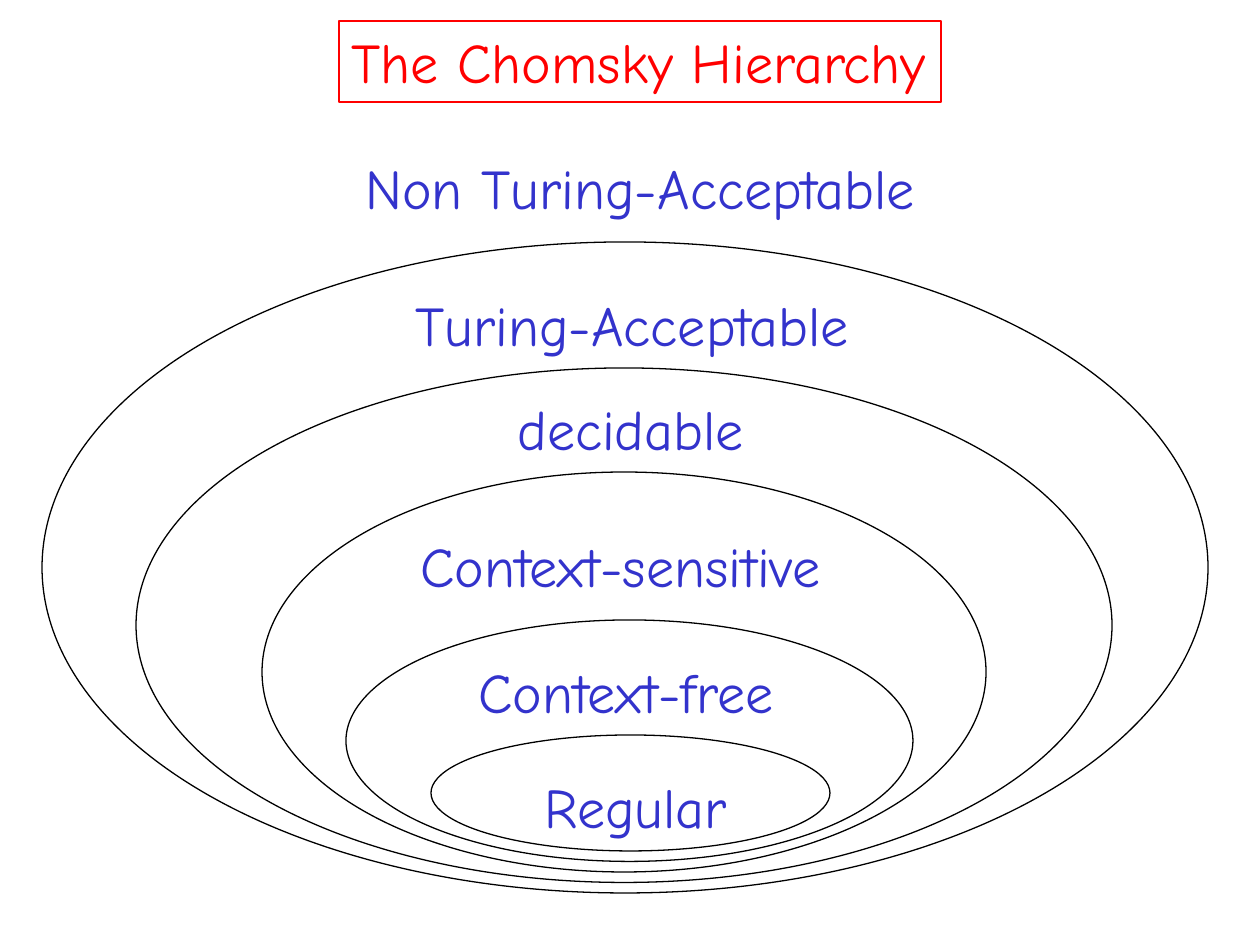
from pptx import Presentation
from pptx.dml.color import RGBColor
from pptx.enum.shapes import MSO_SHAPE
from pptx.enum.text import MSO_AUTO_SIZE, PP_ALIGN
from pptx.util import Pt

OVAL = MSO_SHAPE.OVAL
FIT_SHAPE = MSO_AUTO_SIZE.SHAPE_TO_FIT_TEXT
LEFT = PP_ALIGN.LEFT

SCALE = 914400 / 126
SLIDE_SIZE = (1260, 945)
FONT = "Comic Neue"
BLACK, BLUE, RED = "000000", "3333CC", "FF0000"
LABEL_HEIGHT = 81
OUTER_BOTTOM = 893
BOTTOM_STEP = 10.5

TITLE = ("The Chomsky Hierarchy", 339, 21, 602)
LABELS = [
    ("Non Turing-Acceptable", 353, 147, 577),
    ("Turing-Acceptable", 403, 284, 461),
    ("decidable", 505, 388, 252),
    ("Context-sensitive", 408, 525, 428),
    ("Context-free", 466, 651, 324),
    ("Regular", 532, 766, 208),
]
CLASS_OVALS = [
    (42, 242, 1166),
    (136, 368, 976),
    (262, 472, 724),
    (346, 620, 567),
    (431, 735, 399),
]


def px(*lengths):
    return [round(length * SCALE) for length in lengths]


def color(code):
    return RGBColor.from_string(code)


def outline(shape, code):
    shape.line.color.rgb = color(code)
    shape.line.width = Pt(0.75)


def add_oval(page, left, top, width, bottom):
    oval = page.shapes.add_shape(OVAL, *px(left, top, width, bottom - top))
    oval.shadow.inherit = False
    oval.fill.background()
    outline(oval, BLACK)


def add_label(page, text, left, top, width, code):
    box = page.shapes.add_textbox(*px(left, top, width, LABEL_HEIGHT))
    frame = box.text_frame
    frame.word_wrap = False
    frame.auto_size = FIT_SHAPE
    para = frame.paragraphs[0]
    para.text = text
    para.alignment = LEFT
    para.font.name = FONT
    para.font.size = Pt(32)
    para.font.color.rgb = color(code)
    return box


def main():
    deck = Presentation()
    deck.slide_width, deck.slide_height = px(*SLIDE_SIZE)
    page = deck.slides.add_slide(deck.slide_layouts[6])
    for index, oval in enumerate(CLASS_OVALS):
        add_oval(page, *oval, OUTER_BOTTOM - index * BOTTOM_STEP)
    for label in LABELS:
        add_label(page, *label, BLUE)
    outline(add_label(page, *TITLE, RED), RED)
    deck.save("out.pptx")


if __name__ == "__main__":
    main()
